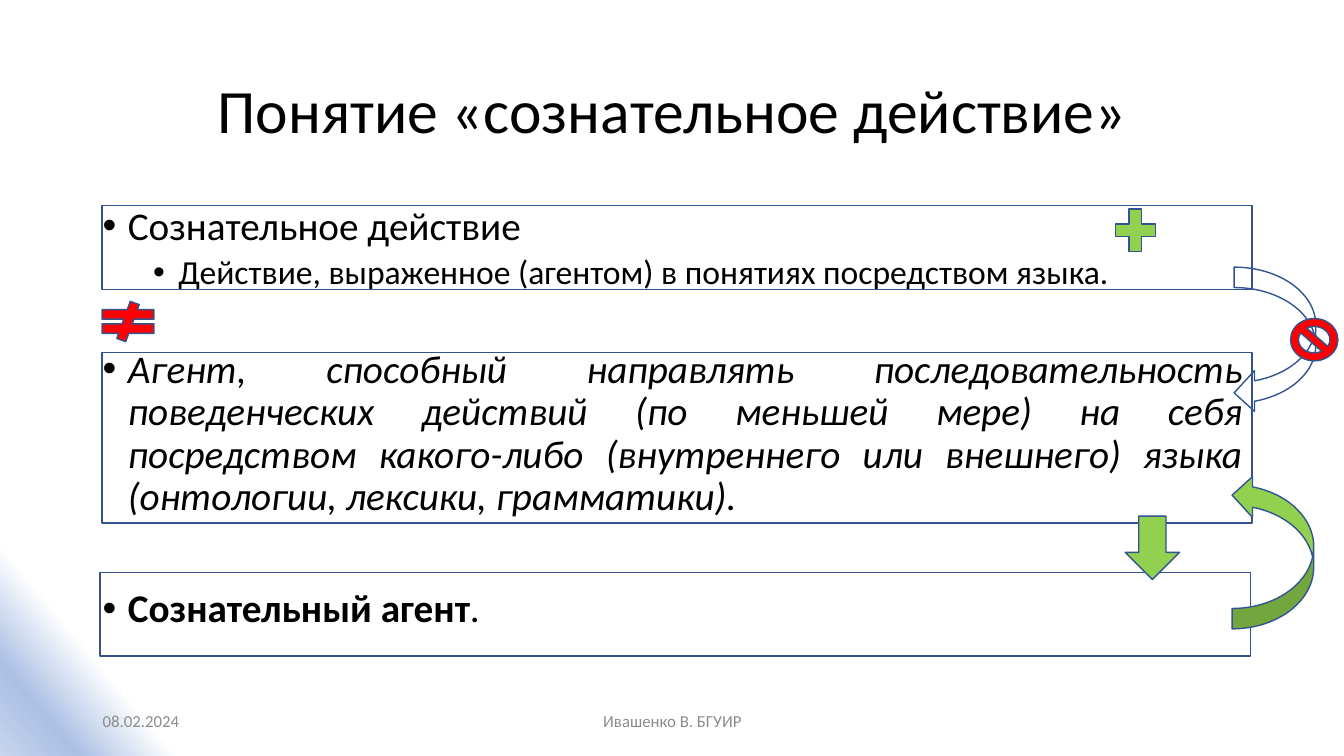
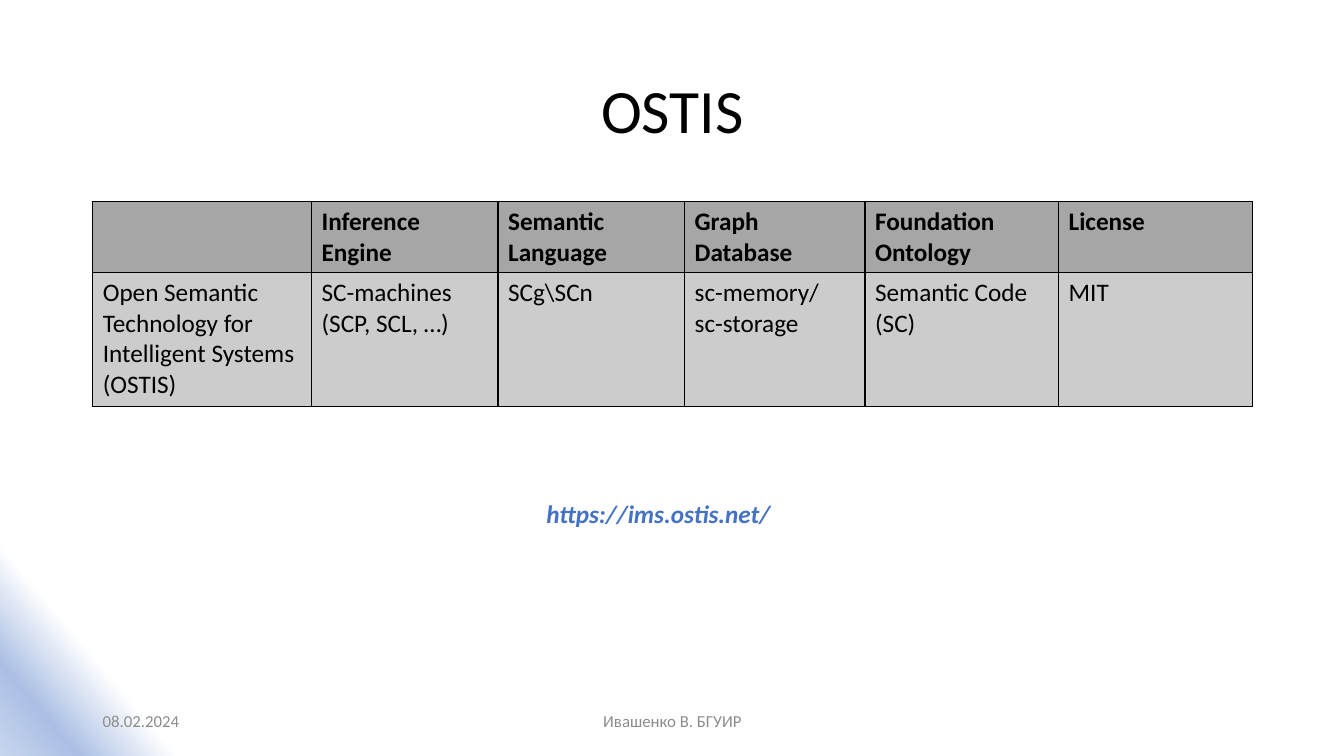
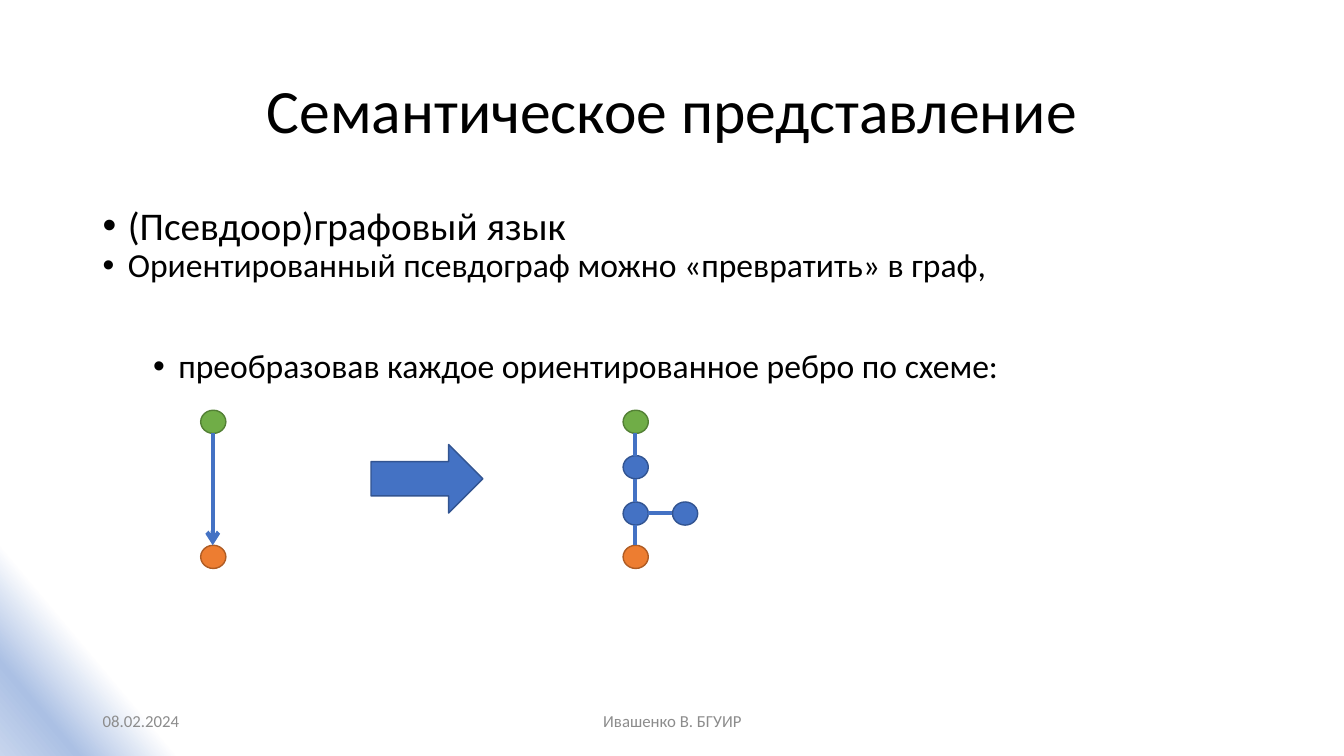
from copy import deepcopy

from lxml.etree import SubElement
from pptx import Presentation
from pptx.dml.color import RGBColor
from pptx.enum.shapes import MSO_CONNECTOR, MSO_SHAPE as S
from pptx.enum.text import MSO_ANCHOR as Anchor, PP_ALIGN as Align
from pptx.oxml.ns import qn
from pptx.util import Emu, Pt

PX = 9144  # 100 px to the inch
FONT = "Calibri"
BLACK, WHITE, GREY = "000000", "FFFFFF", "8C8C8C"
BLUE, NAVY, RED, LIME = "4472C4", "325491", "FF0000", "92D050"
HEAD, CELL = "A6A6A6", "CCCCCC"
BACK = [(0.91, WHITE), (0.96, "ABC0E4"), (1, "C7D5ED")]
TITLE = (92, 40, 1150, 145)
BODY = (92, 200, 1150, 476)
FOOT = [
    ("08.02.2024", (92, 695, 300, 40), Align.LEFT),
    ("Ивашенко В. БГУИР", (442, 695, 450, 40), Align.CENTER),
]

# level, space before, alignment, runs as (text, style)
ACTION = [
    (0, 0, Align.LEFT, [("Сознательное действие", "")]),
    (1, 5, Align.LEFT, [("Действие, выраженное (агентом) в понятиях посредством языка.", "")]),
    (0, 41, Align.JUSTIFY, [(
        "Агент, способный направлять последовательность поведенческих действий "
        "(по меньшей мере) на себя посредством какого-либо (внутреннего или внешнего) "
        "языка (онтологии, лексики, грамматики).", "i")]),
    (0, 50, Align.LEFT, [("Сознательный агент", "b"), (".", "")]),
]
SIGNS = [
    (S.MATH_NOT_EQUAL, (92, 299, 70, 40), RED),
    (S.RECTANGLE, (101, 204, 1141, 83), None),
    (S.RECTANGLE, (101, 350, 1141, 169), None),
    (S.RECTANGLE, (99, 568, 1141, 83), None),
    (S.DOWN_ARROW, (1116, 512, 54, 63), LIME),
    (S.CURVED_LEFT_ARROW, (1222, 471, 81, 153), LIME),
    (S.CURVED_LEFT_ARROW, (1224, 265, 81, 145), None),
    (S.NO_SYMBOL, (1280, 316, 47, 42), RED),
    (S.MATH_PLUS, (1099, 200, 54, 57), LIME),
]
FLIPPED = 5

COLS = [217, 185, 185, 179, 192, 192]
ROWS = [70, 133]
CELLS = [
    ["", "Inference Engine", "Semantic Language", "Graph Database",
     "Foundation Ontology", "License"],
    ["Open Semantic Technology for Intelligent Systems (OSTIS)",
     "SC-machines (SCP, SCL, …)", "SCg\\SCn", "sc-memory/\nsc-storage",
     "Semantic Code (SC)", "MIT"],
]
LINK = ("https://ims.ostis.net/", (532, 471, 304, 77))

GRAPH = [
    (0, 0, Align.LEFT, [("(Псевдоор)графовый язык", "")]),
    (1, 46, Align.LEFT, [(
        "Ориентированный псевдограф можно «превратить» в граф,\n"
        "преобразовав каждое ориентированное ребро по схеме:", "")]),
]
NODE_W, NODE_H = 25, 23
TINTS = {"green": ("70AD47", "538035"), "orange": ("ED7D31", "AF5C24"), "blue": (BLUE, NAVY)}
NODES = {
    "start": (199, 407, "green"),
    "end": (199, 541, "orange"),
    "top": (618, 407, "green"),
    "low": (618, 541, "orange"),
    "mid": (618, 498, "blue"),
    "high": (618, 452, "blue"),
    "side": (667, 498, "blue"),
}
EDGES = [("start", "end", True), ("top", "high", False), ("high", "mid", False),
         ("mid", "low", False), ("mid", "side", False)]
ARROW = (368, 441, 111, 68)


def rgb(code):
    return RGBColor.from_string(code)


def px(*nums):
    return [Emu(n * PX) for n in nums]


def style(font, size, color=BLACK, bold=False, italic=False):
    font.name, font.size = FONT, Pt(size)
    font.bold, font.italic = bold, italic
    font.color.rgb = rgb(color)


def frame(slide, at, anchor=Anchor.MIDDLE):
    box = slide.shapes.add_textbox(*px(*at))
    box.text_frame.word_wrap = True
    box.text_frame.vertical_anchor = anchor
    return box


def label(slide, text, at, size, align=Align.LEFT, **look):
    """Add a box with one paragraph."""
    box = frame(slide, at)
    para = box.text_frame.paragraphs[0]
    para.text, para.alignment = text, align
    style(para.font, size, **look)
    return box


def bullets(slide, items):
    text = frame(slide, BODY, Anchor.TOP).text_frame
    for n, (level, gap, align, runs) in enumerate(items):
        para = text.add_paragraph() if n else text.paragraphs[0]
        props = para._p.get_or_add_pPr()
        props.set("marL", str((25 + 50 * level) * PX))
        props.set("indent", str(-25 * PX))
        SubElement(props, qn("a:buFont")).set("typeface", "Arial")
        SubElement(props, qn("a:buChar")).set("char", "•")
        para.level, para.alignment = level, align
        para.line_spacing, para.space_before = 0.9, Pt(gap)
        style(para.font, 28 - 4 * level)
        for words, look in runs:
            run = para.add_run()
            run.text = words
            run.font.bold, run.font.italic = look == "b", look == "i"


def shape(slide, kind, at, fill=None, line=NAVY):
    item = slide.shapes.add_shape(kind, *px(*at))
    item.shadow.inherit = False
    if fill:
        item.fill.solid()
        item.fill.fore_color.rgb = rgb(fill)
    else:
        item.fill.background()
    item.line.color.rgb = rgb(line)
    item.line.width = Pt(1)
    return item


def edge(slide, here, there, arrow):
    """Join two nodes, edge to edge."""
    (x1, y1, _), (x2, y2, _) = NODES[here], NODES[there]
    half_w, half_h = NODE_W / 2, NODE_H / 2
    if x1 == x2:
        ends = (x1 + half_w, y1 + NODE_H, x2 + half_w, y2)
    else:
        ends = (x1 + NODE_W, y1 + half_h, x2, y2 + half_h)
    item = slide.shapes.add_connector(MSO_CONNECTOR.STRAIGHT, *px(*map(int, ends)))
    item.line.color.rgb = rgb(BLUE)
    item.line.width = Pt(3)
    if arrow:
        SubElement(item.line._get_or_add_ln(), qn("a:tailEnd")).set("type", "arrow")
    SubElement(item._element.spPr, qn("a:effectLst"))


def border(cell):
    props = cell._tc.get_or_add_tcPr()
    for n, side in enumerate(("lnL", "lnR", "lnT", "lnB")):
        line = SubElement(props, qn("a:" + side))
        line.set("w", str(Pt(1)))
        SubElement(SubElement(line, qn("a:solidFill")), qn("a:srgbClr")).set("val", BLACK)
        props.insert(n, line)


def table(slide):
    at = (92, 200, sum(COLS), sum(ROWS))
    grid = slide.shapes.add_table(len(ROWS), len(COLS), *px(*at)).table
    grid.first_row = grid.horz_banding = False
    for col, width in zip(grid.columns, px(*COLS)):
        col.width = width
    for r, height in enumerate(px(*ROWS)):
        grid.rows[r].height = height
        for c, text in enumerate(CELLS[r]):
            cell = grid.cell(r, c)
            cell.fill.solid()
            cell.fill.fore_color.rgb = rgb(CELL if r else HEAD)
            para = cell.text_frame.paragraphs[0]
            para.text = text
            style(para.font, 18, bold=r == 0)
            border(cell)


def backdrop(master):
    fill = master.background.fill
    fill.gradient()
    fill.gradient_angle = 220
    stops = fill._fill._gradFill.gsLst
    stops.append(deepcopy(stops[0]))
    for stop, (place, color) in zip(fill.gradient_stops, BACK):
        stop.position = place
        stop.color.rgb = rgb(color)


def page(deck, title):
    """Add a slide with the shared title and footers."""
    slide = deck.slides.add_slide(deck.slide_layouts[6])
    head = label(slide, title, TITLE, 44, Align.CENTER)
    head.text_frame.paragraphs[0].line_spacing = 0.9
    for text, at, align in FOOT:
        label(slide, text, at, 12, align, color=GREY)
    return slide


def main():
    deck = Presentation()
    deck.slide_width, deck.slide_height = px(1333, 750)
    backdrop(deck.slide_master)

    slide = page(deck, "Понятие «сознательное действие»")
    bullets(slide, ACTION)
    for n, sign in enumerate(SIGNS):
        item = shape(slide, *sign)
        if n == FLIPPED:
            item._element.spPr.find(qn("a:xfrm")).set("flipV", "1")

    slide = page(deck, "OSTIS")
    table(slide)
    link = label(slide, *LINK, 18, color=BLUE, bold=True, italic=True)
    link.fill.solid()
    link.fill.fore_color.rgb = rgb(WHITE)

    slide = page(deck, "Семантическое представление")
    bullets(slide, GRAPH)
    for x, y, tint in NODES.values():
        shape(slide, S.OVAL, (x, y, NODE_W, NODE_H), *TINTS[tint])
    for link in EDGES:
        edge(slide, *link)
    shape(slide, S.RIGHT_ARROW, ARROW, BLUE)

    deck.save("out.pptx")


if __name__ == "__main__":
    main()
